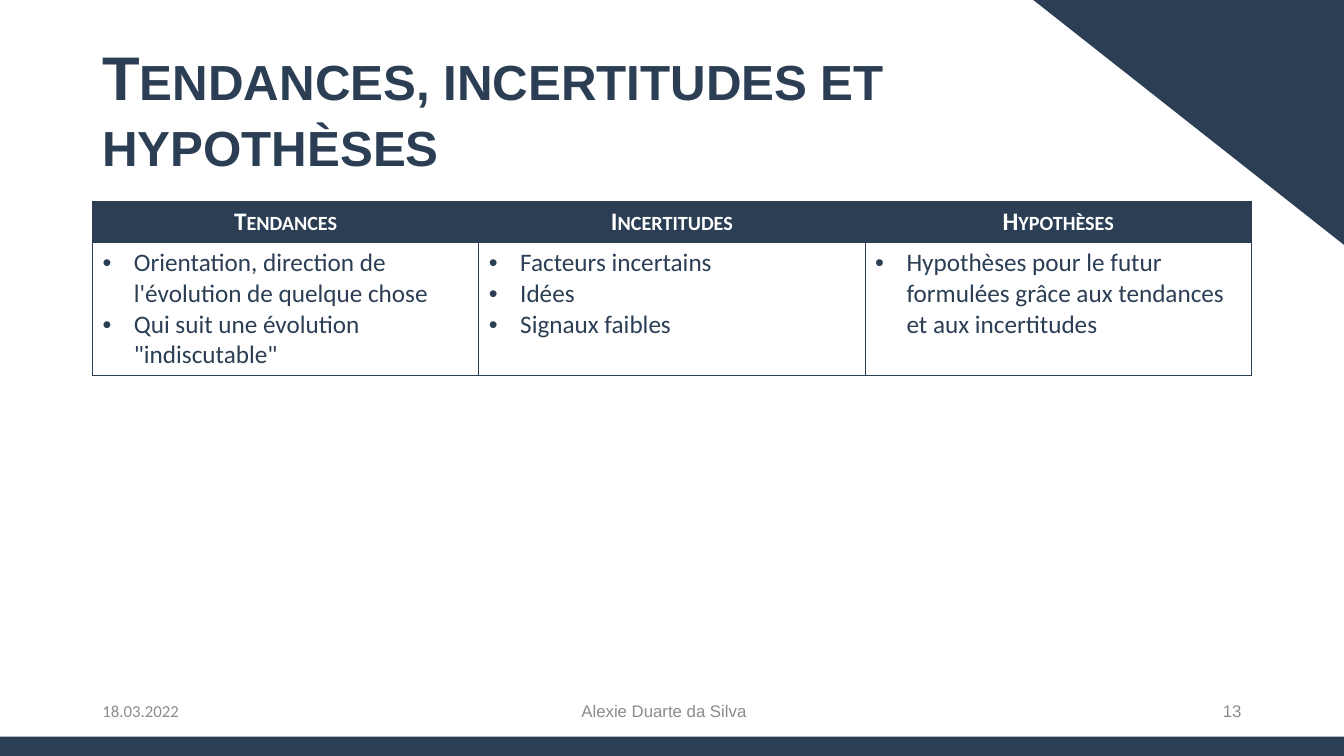
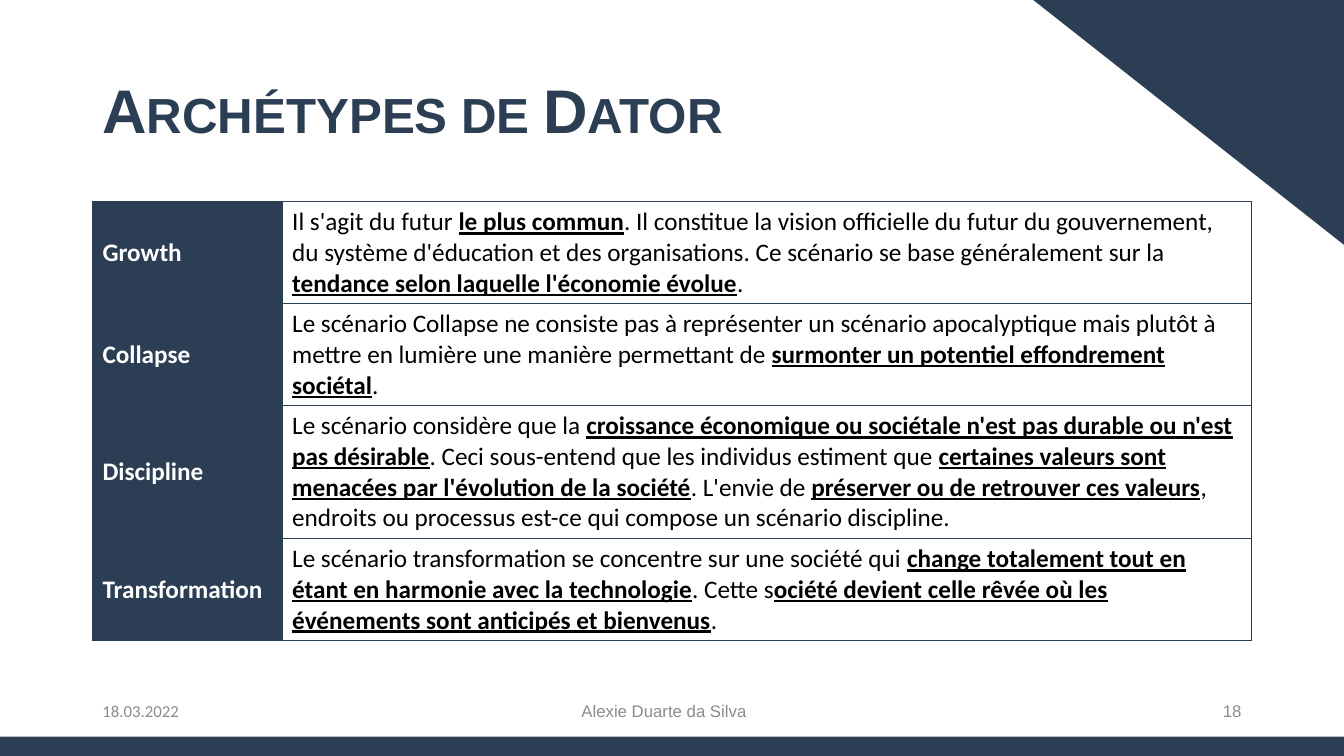
from dataclasses import dataclass
from typing import NamedTuple

from lxml.etree import SubElement
from pptx import Presentation
from pptx.dml.color import RGBColor
from pptx.enum.shapes import MSO_SHAPE
from pptx.enum.text import MSO_ANCHOR, PP_ALIGN
from pptx.oxml.ns import qn
from pptx.util import Cm, Pt


class Box(NamedTuple):
    """A region of the slide, in centimetres."""
    left: float
    top: float
    width: float
    height: float

    def emu(self):
        """Return the four lengths as python-pptx takes them."""
        return [Cm(v) for v in self]


@dataclass(frozen=True)
class Theme:
    """Colours, fonts and type sizes of the deck."""
    navy: str = "2B3E54"
    white: str = "FFFFFF"
    black: str = "000000"
    grey: str = "8C8C8C"
    heading_font: str = "Arial"
    body_font: str = "Calibri"
    title_size: int = 44
    body_size: int = 18
    footer_size: int = 12
    border: int = 1


T = Theme()
SLIDE_W, SLIDE_H = 33.87, 19.05
MARGIN, CONTENT_W = 2.33, 29.21
FOOTER_W = 7.62
BULLET_INDENT = 0.79
HEADER_H = 1.03

SLIDE = Box(0, 0, SLIDE_W, SLIDE_H)
TITLE = Box(MARGIN, 1.02, 24.77, 3.68)
FOOTER = Box(MARGIN, 17.4, CONTENT_W, 1.02)

DATE = "18.03.2022"
AUTHOR = "Alexie Duarte da Silva"

TRENDS = {
    "Tendances": ["Orientation, direction de l'évolution de quelque chose",
                  "Qui suit une évolution \"indiscutable\""],
    "Incertitudes": ["Facteurs incertains", "Idées", "Signaux faibles"],
    "Hypothèses": ["Hypothèses pour le futur formulées grâce aux tendances "
                   "et aux incertitudes"],
}

# Asterisks enclose the emphasised words.
ARCHETYPES = [
    ("Growth", 2.57,
     "Il s'agit du futur *le plus commun*. Il constitue la vision officielle "
     "du futur du gouvernement, du système d'éducation et des organisations. "
     "Ce scénario se base généralement sur la *tendance selon laquelle "
     "l'économie évolue*."),
    ("Collapse", 2.57,
     "Le scénario Collapse ne consiste pas à représenter un scénario "
     "apocalyptique mais plutôt à mettre en lumière une manière permettant de "
     "*surmonter un potentiel effondrement sociétal*."),
    ("Discipline", 3.35,
     "Le scénario considère que la *croissance économique ou sociétale n'est "
     "pas durable ou n'est pas désirable*. Ceci sous-entend que les individus "
     "estiment que *certaines valeurs sont menacées par l'évolution de la "
     "société*. L'envie de *préserver ou de retrouver ces valeurs*, endroits "
     "ou processus est-ce qui compose un scénario discipline."),
    ("Transformation", 2.57,
     "Le scénario transformation se concentre sur une société qui *change "
     "totalement tout en étant en harmonie avec la technologie*. Cette "
     "s*ociété devient celle rêvée où les événements sont anticipés et "
     "bienvenus*."),
]


def add_run(p, text, size, color, font, bold=False, underline=False,
            small_caps=False):
    """Append one formatted run to a paragraph."""
    r = p.add_run()
    r.text = text
    r.font.size = Pt(size)
    r.font.name = font
    r.font.bold = bold
    r.font.underline = underline
    r.font.color.rgb = RGBColor.from_string(color)
    if small_caps:
        r.font._element.set("cap", "small")


def add_textbox(s, box, align=PP_ALIGN.LEFT):
    """Add a wrapping, vertically centred text box; return its paragraph."""
    tf = s.shapes.add_textbox(*box.emu()).text_frame
    tf.word_wrap = True
    tf.vertical_anchor = MSO_ANCHOR.MIDDLE
    p = tf.paragraphs[0]
    p.alignment = align
    return p


def add_filled(s, kind, box):
    """Add a plain navy shape."""
    sp = s.shapes.add_shape(kind, *box.emu())
    sp.shadow.inherit = False
    sp.fill.solid()
    sp.fill.fore_color.rgb = RGBColor.from_string(T.navy)
    sp.line.fill.background()
    return sp


def add_background(s, box):
    """Draw the corner triangle and the bottom band."""
    corner_w, corner_h, band_h = 7.83, 6.17, 0.49
    corner = add_filled(s, MSO_SHAPE.RIGHT_TRIANGLE,
                        Box(box.left + box.width - corner_w, box.top,
                            corner_w, corner_h))
    corner.rotation = 180
    add_filled(s, MSO_SHAPE.RECTANGLE,
               Box(box.left, box.top + box.height - band_h,
                   box.width, band_h))


def add_title(s, box, text):
    """Write the slide title in bold small capitals."""
    p = add_textbox(s, box)
    p.line_spacing = 0.9
    add_run(p, text, T.title_size, T.navy, T.heading_font, bold=True,
            small_caps=True)


def add_footer(s, box, number):
    """Write date, author and slide number across the footer."""
    author_w = 11.43
    author_left = (SLIDE_W - author_w) / 2 - 0.2
    number_left = box.left + box.width - FOOTER_W
    parts = [
        (DATE, box.left, FOOTER_W, PP_ALIGN.LEFT, T.body_font),
        (AUTHOR, author_left, author_w, PP_ALIGN.CENTER, T.heading_font),
        (str(number), number_left, FOOTER_W, PP_ALIGN.RIGHT, T.heading_font),
    ]
    for text, left, width, align, font in parts:
        p = add_textbox(s, Box(left, box.top, width, box.height), align)
        add_run(p, text, T.footer_size, T.grey, font)


def add_bullet(p):
    """Give a paragraph a round bullet with a hanging indent."""
    pPr = p._p.get_or_add_pPr()
    pPr.set("marL", str(Cm(BULLET_INDENT)))
    pPr.set("indent", str(-Cm(BULLET_INDENT)))
    SubElement(pPr, qn("a:buFont")).set("typeface", T.heading_font)
    SubElement(pPr, qn("a:buChar")).set("char", "•")


def style_cell(cell, filled):
    """Draw the cell borders, then its navy or empty fill."""
    tcPr = cell._tc.get_or_add_tcPr()
    for side in ("lnL", "lnR", "lnT", "lnB"):
        ln = SubElement(tcPr, qn(f"a:{side}"), w=str(Pt(T.border)))
        fill = SubElement(ln, qn("a:solidFill"))
        SubElement(fill, qn("a:srgbClr")).set("val", T.navy)
    if filled:
        cell.fill.solid()
        cell.fill.fore_color.rgb = RGBColor.from_string(T.navy)
    else:
        cell.fill.background()


def add_table(s, box, widths, heights, is_head):
    """Add a bordered table; is_head(row, col) picks the navy cells."""
    table = s.shapes.add_table(len(heights), len(widths),
                               *box.emu()).table
    table.first_row = table.horz_banding = False
    for col, width in zip(table.columns, widths):
        col.width = Cm(width)
    for i, (row, height) in enumerate(zip(table.rows, heights)):
        row.height = Cm(height)
        for j, cell in enumerate(row.cells):
            style_cell(cell, is_head(i, j))
    return table


def add_trends_table(s, box, trends):
    """Place one headed column of bullets per topic."""
    widths = [box.width / len(trends)] * len(trends)
    table = add_table(s, box, widths, [HEADER_H, box.height - HEADER_H],
                      lambda row, col: row == 0)
    for j, (head, items) in enumerate(trends.items()):
        p = table.cell(0, j).text_frame.paragraphs[0]
        p.alignment = PP_ALIGN.CENTER
        add_run(p, head, T.body_size, T.white, T.body_font, bold=True,
                small_caps=True)
        tf = table.cell(1, j).text_frame
        for k, item in enumerate(items):
            p = tf.add_paragraph() if k else tf.paragraphs[0]
            add_bullet(p)
            add_run(p, item, T.body_size, T.navy, T.body_font)


def add_archetypes_table(s, box, archetypes):
    """Place one labelled row per archetype."""
    label_w = 4.78
    table = add_table(s, box, [label_w, box.width - label_w],
                      [height for _, height, _ in archetypes],
                      lambda row, col: col == 0)
    for i, (label, _, text) in enumerate(archetypes):
        cell = table.cell(i, 0)
        cell.vertical_anchor = MSO_ANCHOR.MIDDLE
        add_run(cell.text_frame.paragraphs[0], label, T.body_size, T.white,
                T.body_font, bold=True)
        p = table.cell(i, 1).text_frame.paragraphs[0]
        for k, part in enumerate(text.split("*")):
            strong = k % 2 == 1
            add_run(p, part, T.body_size, T.black, T.body_font, bold=strong,
                    underline=strong)


def add_slide(prs, title, number):
    """Add a slide with the parts that all slides share."""
    s = prs.slides.add_slide(prs.slide_layouts[6])
    add_background(s, SLIDE)
    add_title(s, TITLE, title)
    add_footer(s, FOOTER, number)
    return s


def main():
    """Build and save the deck."""
    prs = Presentation()
    prs.slide_width, prs.slide_height = Cm(SLIDE_W), Cm(SLIDE_H)

    s = add_slide(prs, "Tendances, incertitudes et hypothèses", 13)
    add_trends_table(s, Box(MARGIN, 5.08, CONTENT_W, 4.38), TRENDS)

    s = add_slide(prs, "Archétypes de Dator", 18)
    heights = sum(height for _, height, _ in ARCHETYPES)
    add_archetypes_table(s, Box(MARGIN, 5.08, CONTENT_W, heights), ARCHETYPES)

    prs.save("out.pptx")


main()
